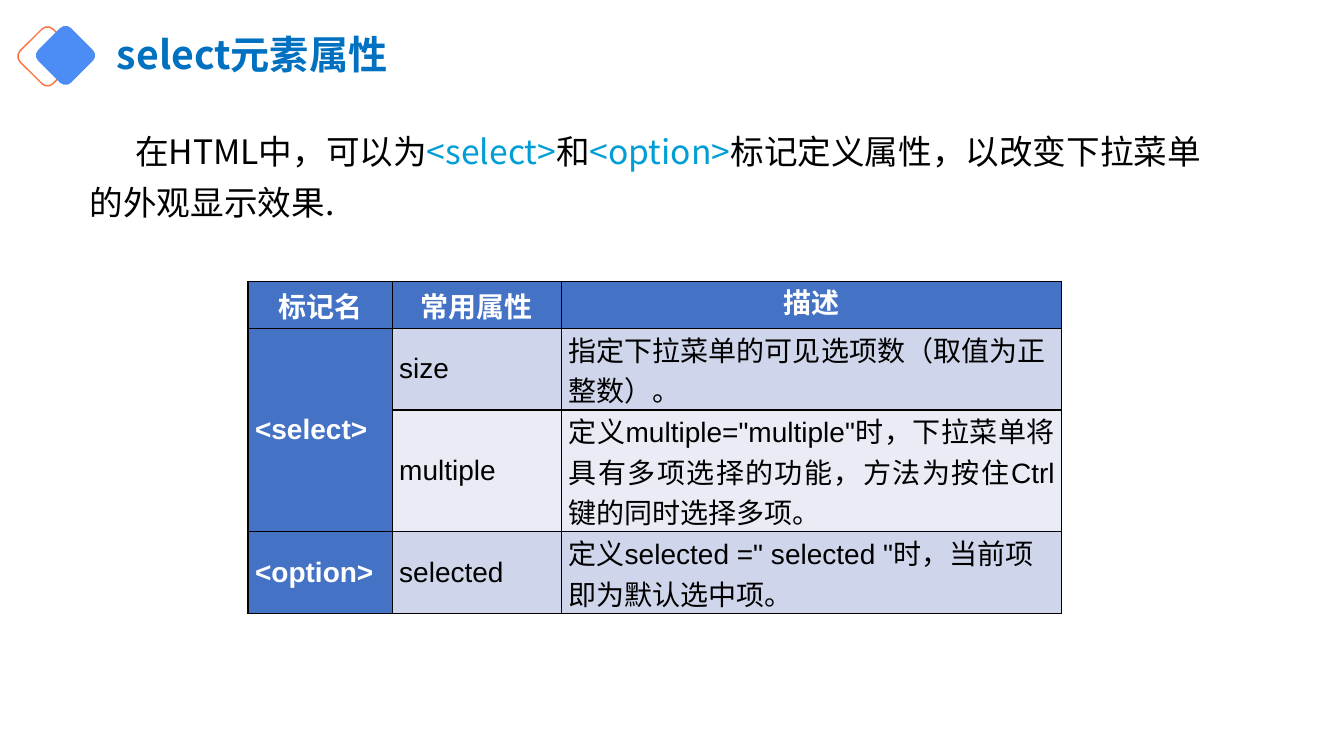
from dataclasses import dataclass

from lxml import etree
from pptx import Presentation
from pptx.dml.color import RGBColor
from pptx.enum.shapes import MSO_SHAPE
from pptx.enum.text import MSO_ANCHOR, MSO_AUTO_SIZE, PP_ALIGN
from pptx.oxml import parse_xml
from pptx.oxml.ns import nsdecls, qn
from pptx.util import Inches, Pt


@dataclass(frozen=True)
class Theme:
    title: str = "0070C0"
    text: str = "000000"
    tag: str = "009ED6"
    white: str = "FFFFFF"
    header: str = "4472C4"
    bands: tuple = ("CFD5EA", "E9EBF5")
    border: str = "000000"
    diamond: str = "4C8CF5"
    diamond_outline: str = "FD703B"
    title_size: int = 28
    body_size: int = 24
    table_size: int = 20
    cjk_font: str = "Noto Sans CJK SC"
    table_font: str = "Arial"


THEME = Theme()

TITLE = "select元素属性"
INTRO = [
    ("在HTML中，可以为", THEME.text),
    ("<select>", THEME.tag),
    ("和", THEME.text),
    ("<option>", THEME.tag),
    ("标记定义属性，以改变下拉菜单的外观显示效果.", THEME.text),
]
ROWS = [
    ("标记名", "常用属性", "描述"),
    ("<select>", "size", "指定下拉菜单的可见选项数（取值为正整数）。"),
    ("", "multiple", "定义multiple=\"multiple\"时，下拉菜单将具有多项选择的功能，"
                     "方法为按住Ctrl键的同时选择多项。"),
    ("<option>", "selected", "定义selected =\" selected \"时，当前项即为默认选中项。"),
]
COLUMN_WIDTHS = (1.43, 1.68, 4.96)
ROW_HEIGHTS = (0.47, 0.67, 1.01, 0.67)
JUSTIFIED_ROW = 2
DIAMOND_SIDE = 0.46


def add_text(paragraph, text, *, size, color, font=THEME.cjk_font, bold=False):
    run = paragraph.add_run()
    run.text = text
    run.font.size = Pt(size)
    run.font.bold = bold
    run.font.name = font
    run.font.color.rgb = RGBColor.from_string(color)
    east_asian = etree.Element(qn("a:ea"), typeface=THEME.cjk_font)
    run.font._element.find(qn("a:latin")).addnext(east_asian)


def place(shape, left, top, width, height):
    shape.left, shape.top = Inches(left), Inches(top)
    shape.width, shape.height = Inches(width), Inches(height)


def add_diamond(slide, left, top, *, fill=None, line=None):
    diamond = slide.shapes.add_shape(
        MSO_SHAPE.ROUNDED_RECTANGLE, Inches(left), Inches(top),
        Inches(DIAMOND_SIDE), Inches(DIAMOND_SIDE))
    diamond.rotation = 45
    diamond.shadow.inherit = False
    if fill:
        diamond.fill.solid()
        diamond.fill.fore_color.rgb = RGBColor.from_string(fill)
    else:
        diamond.fill.background()
    if line:
        diamond.line.color.rgb = RGBColor.from_string(line)
        diamond.line.width = Pt(1)
    else:
        diamond.line.fill.background()


def add_title(slide):
    title = slide.shapes.title
    place(title, 1.06, 0.17, 5.13, 0.79)
    frame = title.text_frame
    frame.auto_size = MSO_AUTO_SIZE.NONE
    frame.vertical_anchor = MSO_ANCHOR.MIDDLE
    paragraph = frame.paragraphs[0]
    paragraph.alignment = PP_ALIGN.LEFT
    paragraph.line_spacing = 0.9
    add_text(paragraph, TITLE, size=THEME.title_size, color=THEME.title, bold=True)


def add_intro(slide):
    body = slide.placeholders[1]
    place(body, 0.79, 1.15, 11.42, 1.64)
    frame = body.text_frame
    frame.auto_size = MSO_AUTO_SIZE.NONE
    frame.vertical_anchor = MSO_ANCHOR.TOP
    paragraph = frame.paragraphs[0]
    properties = paragraph._p.get_or_add_pPr()
    properties.set("marL", "0")
    properties.set("indent", str(Inches(0.45)))
    etree.SubElement(properties, qn("a:buNone"))
    paragraph.alignment = PP_ALIGN.LEFT
    paragraph.line_spacing = 1.25
    paragraph.space_before = Pt(0)
    for text, color in INTRO:
        add_text(paragraph, text, size=THEME.body_size, color=color)


def set_borders(cell):
    properties = cell._tc.get_or_add_tcPr()
    for index, side in enumerate(("lnL", "lnR", "lnT", "lnB")):
        properties.insert(index, parse_xml(
            f'<a:{side} {nsdecls("a")} w="{Pt(1)}"><a:solidFill>'
            f'<a:srgbClr val="{THEME.border}"/></a:solidFill></a:{side}>'))


def format_cell(cell, text, row, column):
    is_header = row == 0 or column == 0
    fill = THEME.header if is_header else THEME.bands[(row - 1) % 2]
    cell.fill.solid()
    cell.fill.fore_color.rgb = RGBColor.from_string(fill)
    set_borders(cell)
    cell.margin_left = cell.margin_right = Inches(0.07)
    cell.margin_top = cell.margin_bottom = 0
    cell.vertical_anchor = MSO_ANCHOR.TOP if column == 2 else MSO_ANCHOR.MIDDLE
    if not text:
        return
    paragraph = cell.text_frame.paragraphs[0]
    if row == 0:
        paragraph.alignment = PP_ALIGN.CENTER
    elif (row, column) == (JUSTIFIED_ROW, 2):
        paragraph.alignment = PP_ALIGN.JUSTIFY
    else:
        paragraph.alignment = PP_ALIGN.LEFT
    add_text(paragraph, text, size=THEME.table_size, font=THEME.table_font,
             color=THEME.white if is_header else THEME.text, bold=is_header)


def add_attribute_table(slide):
    table = slide.shapes.add_table(
        len(ROWS), len(COLUMN_WIDTHS), Inches(2.46), Inches(2.79),
        Inches(sum(COLUMN_WIDTHS)), Inches(sum(ROW_HEIGHTS))).table
    for column, width in zip(table.columns, COLUMN_WIDTHS):
        column.width = Inches(width)
    for row, height in zip(table.rows, ROW_HEIGHTS):
        row.height = Inches(height)
    for row, texts in enumerate(ROWS):
        for column, text in enumerate(texts):
            format_cell(table.cell(row, column), text, row, column)
    table.cell(1, 0).merge(table.cell(2, 0))


def main():
    presentation = Presentation()
    presentation.slide_width = Inches(13.33)
    presentation.slide_height = Inches(7.5)
    slide = presentation.slides.add_slide(presentation.slide_layouts[1])
    add_diamond(slide, 0.24, 0.33, line=THEME.diamond_outline)
    add_diamond(slide, 0.42, 0.32, fill=THEME.diamond)
    add_intro(slide)
    add_title(slide)
    add_attribute_table(slide)
    presentation.save("out.pptx")


if __name__ == "__main__":
    main()
